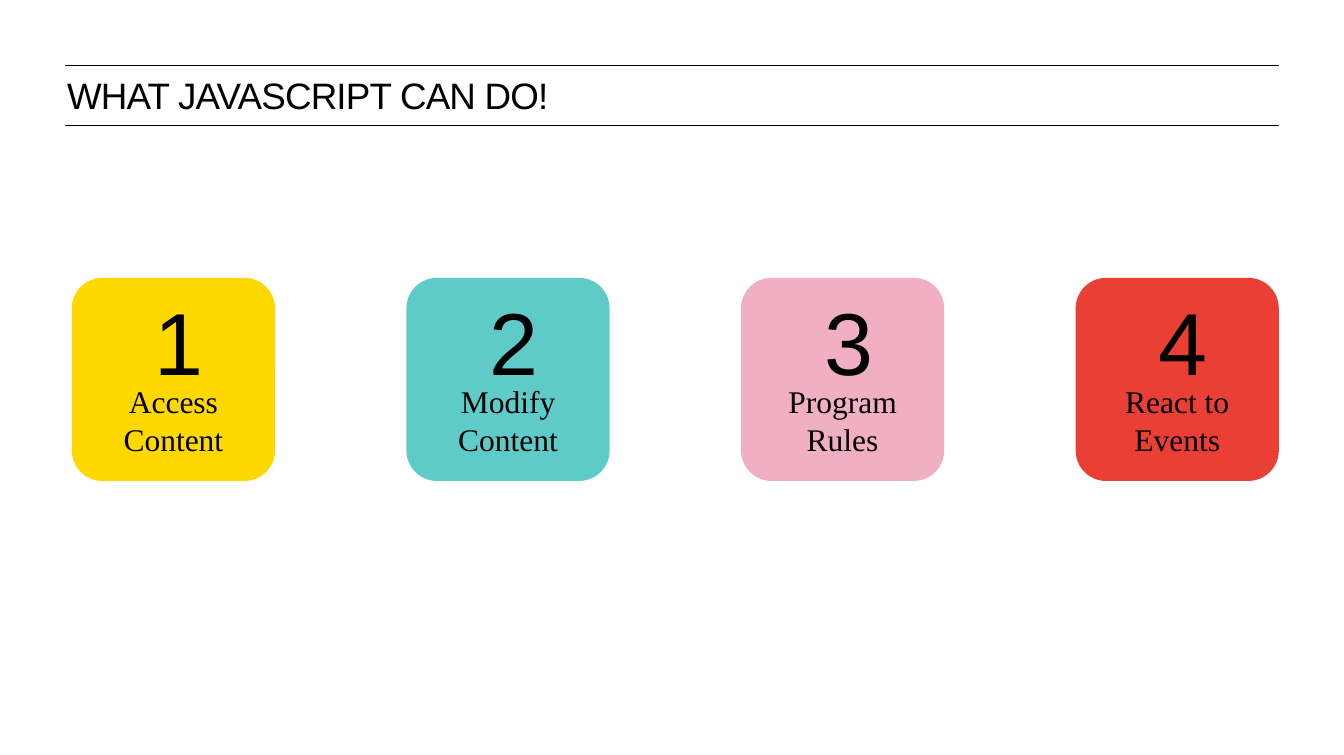
from dataclasses import dataclass

from lxml import etree
from pptx import Presentation
from pptx.dml.color import RGBColor
from pptx.enum.shapes import MSO_CONNECTOR, MSO_SHAPE
from pptx.enum.text import MSO_ANCHOR, MSO_AUTO_SIZE, PP_ALIGN
from pptx.oxml.ns import qn
from pptx.util import Pt

STRAIGHT = MSO_CONNECTOR.STRAIGHT
ROUNDED = MSO_SHAPE.ROUNDED_RECTANGLE
TOP, MIDDLE = MSO_ANCHOR.TOP, MSO_ANCHOR.MIDDLE
LEFT, CENTER = PP_ALIGN.LEFT, PP_ALIGN.CENTER
TITLE_ONLY = 5


@dataclass(frozen=True)
class Theme:
    ink: RGBColor = RGBColor(0, 0, 0)
    yellow: RGBColor = RGBColor.from_string("FFD800")
    teal: RGBColor = RGBColor.from_string("5FCBC8")
    pink: RGBColor = RGBColor.from_string("F1AFC3")
    red: RGBColor = RGBColor.from_string("E93F34")
    sans: str = "Arial"
    serif: str = "Times New Roman"
    title_size: float = 28
    number_size: float = 67
    label_size: float = 24


THEME = Theme()

RULE_LEFT, RULE_RIGHT = 49.7, 974.2
RULE_TOPS = (49.7, 95.8)
TILE_LEFT, TILE_TOP = 54.7, 211.7
TILE_SIZE, TILE_PITCH = 154.8, 254.9
TILE_ROUNDING = 0.15
NUMBER_INDENT = 59
TEXT_INSET = 4.3

ABILITIES = (
    (("Access", "Content"), THEME.yellow),
    (("Modify", "Content"), THEME.teal),
    (("Program", "Rules"), THEME.pink),
    (("React to", "Events"), THEME.red),
)


def format_text(frame, lines, size, font_name, align, anchor, inset):
    frame.word_wrap = True
    frame.auto_size = MSO_AUTO_SIZE.NONE
    frame.vertical_anchor = anchor
    frame.margin_left = frame.margin_right = Pt(inset)
    frame.margin_top = frame.margin_bottom = Pt(inset)
    frame.text = "\n".join(lines)
    for paragraph in frame.paragraphs:
        paragraph.alignment = align
        paragraph.font.size = Pt(size)
        paragraph.font.name = font_name
        paragraph.font.color.rgb = THEME.ink


def set_title(slide, wording):
    title = slide.shapes.title
    title.left, title.top = Pt(51.1), Pt(56.9)
    title.width, title.height = Pt(607.7), Pt(32.4)
    format_text(title.text_frame, [wording], THEME.title_size, THEME.sans,
                LEFT, TOP, 0)
    paragraph = title.text_frame.paragraphs[0]
    paragraph.line_spacing = Pt(32)
    paragraph.runs[0]._r.get_or_add_rPr().set("spc", "-60")


def add_rule(slide, top):
    rule = slide.shapes.add_connector(
        STRAIGHT, Pt(RULE_LEFT), Pt(top), Pt(RULE_RIGHT), Pt(top))
    rule.line.color.rgb = THEME.ink
    rule.line.width = Pt(1)
    etree.SubElement(rule._element.spPr, qn("a:effectLst"))


def add_text(slide, left, top, width, height, lines, size, font_name, align):
    box = slide.shapes.add_textbox(Pt(left), Pt(top), Pt(width), Pt(height))
    format_text(box.text_frame, lines, size, font_name, align, MIDDLE,
                TEXT_INSET)


def add_ability(slide, left, number, label_lines, colour):
    """Add one coloured tile with its number and its label."""
    tile = slide.shapes.add_shape(
        ROUNDED, Pt(left), Pt(TILE_TOP), Pt(TILE_SIZE), Pt(TILE_SIZE))
    tile.adjustments[0] = TILE_ROUNDING
    tile.shadow.inherit = False
    tile.fill.solid()
    tile.fill.fore_color.rgb = colour
    tile.line.fill.background()
    add_text(slide, left, TILE_TOP + 80, TILE_SIZE, 56, label_lines,
             THEME.label_size, THEME.serif, CENTER)
    add_text(slide, left + NUMBER_INDENT, TILE_TOP + 10, 47, 75,
             [str(number)], THEME.number_size, THEME.sans, LEFT)


def main():
    presentation = Presentation()
    presentation.slide_width = Pt(1023.84)
    presentation.slide_height = Pt(575.28)
    slide = presentation.slides.add_slide(
        presentation.slide_layouts[TITLE_ONLY])

    set_title(slide, "WHAT JAVASCRIPT CAN DO!")
    for top in RULE_TOPS:
        add_rule(slide, top)
    for index, (label_lines, colour) in enumerate(ABILITIES):
        add_ability(slide, TILE_LEFT + index * TILE_PITCH, index + 1,
                    label_lines, colour)

    presentation.save("out.pptx")


if __name__ == "__main__":
    main()
